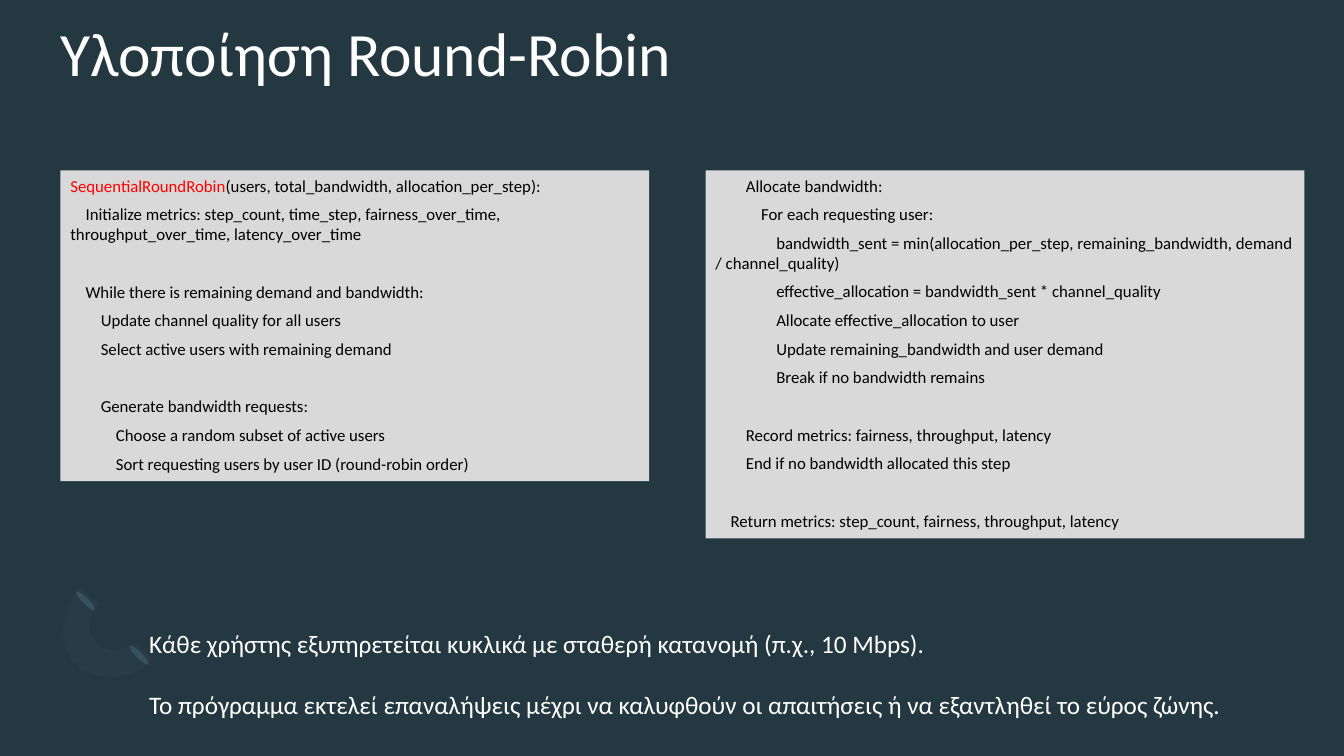
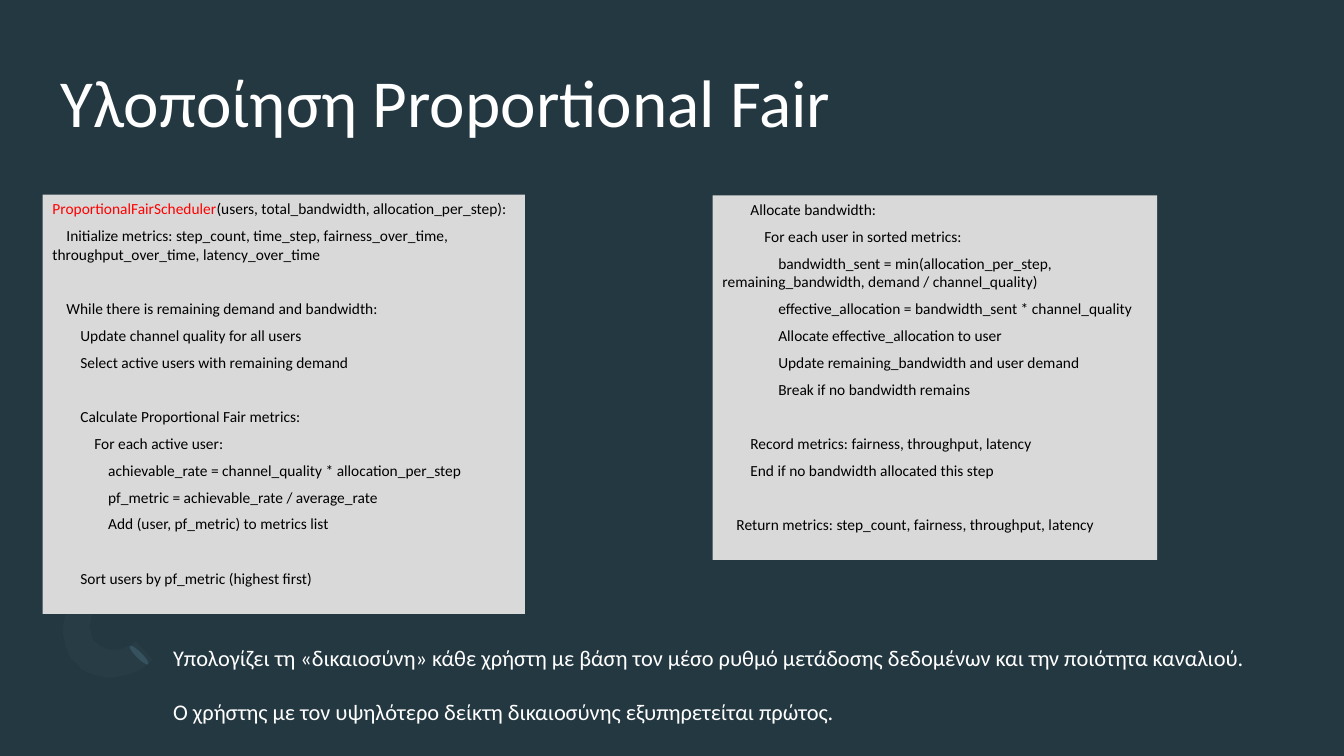
import pptx
import pptx.util
import pptx.dml.color
import pptx.enum.shapes
import pptx.enum.text
import pptx.oxml

Pt = pptx.util.Pt
ALIGN = pptx.enum.text.PP_ALIGN
ANCHOR = pptx.enum.text.MSO_ANCHOR
AUTO_SIZE = pptx.enum.text.MSO_AUTO_SIZE
SHAPE = pptx.enum.shapes.MSO_SHAPE

# Content: code is grouped; each line is (indent level, text)
SETUP_LINE = (1, "Initialize metrics: step_count, time_step, fairness_over_time, "
                 "throughput_over_time, latency_over_time")
LOOP = [
    (1, "While there is remaining demand and bandwidth:"),
    (2, "Update channel quality for all users"),
    (2, "Select active users with remaining demand"),
]
ALLOCATION = [
    (4, "bandwidth_sent = min(allocation_per_step, remaining_bandwidth, demand / channel_quality)"),
    (4, "effective_allocation = bandwidth_sent * channel_quality"),
    (4, "Allocate effective_allocation to user"),
    (4, "Update remaining_bandwidth and user demand"),
    (4, "Break if no bandwidth remains"),
]
CLOSING = [
    [(2, "Record metrics: fairness, throughput, latency"),
     (2, "End if no bandwidth allocated this step")],
    [(1, "Return metrics: step_count, fairness, throughput, latency")],
]
ARGUMENTS = "(users, total_bandwidth, allocation_per_step):"

ALGORITHMS = [
    {
        "title": "Υλοποίηση Round-Robin", "title_top": 10.8, "title_size": 44,
        "function": "SequentialRoundRobin", "code_size": 12,
        "selection": [
            (2, "Generate bandwidth requests:"),
            (3, "Choose a random subset of active users"),
            (3, "Sort requesting users by user ID (round-robin order)"),
        ],
        "after_selection": [],
        "allocation_loop": "For each requesting user:",
        "panels": [(43.2, 121.7, 420.5, 222), (504, 121.7, 427.7, 263)],
        "notes": [
            "Κάθε χρήστης εξυπηρετείται κυκλικά με σταθερή κατανομή (π.χ., 10 Mbps).",
            "Το πρόγραμμα εκτελεί επαναλήψεις μέχρι να καλυφθούν οι απαιτήσεις "
            "ή να εξαντληθεί το εύρος ζώνης.",
        ],
        "notes_box": (99.4, 445, 809.3, 72.7), "notes_size": 18,
    },
    {
        "title": "Υλοποίηση Proportional Fair", "title_top": 43.2, "title_size": 48,
        "function": "ProportionalFairScheduler", "code_size": 11,
        "selection": [
            (2, "Calculate Proportional Fair metrics:"),
            (3, "For each active user:"),
            (4, "achievable_rate = channel_quality * allocation_per_step"),
            (4, "pf_metric = achievable_rate / average_rate"),
            (4, "Add (user, pf_metric) to metrics list"),
        ],
        "after_selection": [[(2, "Sort users by pf_metric (highest first)")]],
        "allocation_loop": "For each user in sorted metrics:",
        "panels": [(30.4, 139, 344.6, 299.5), (509, 139.5, 317.5, 260.5)],
        "notes": [
            "Υπολογίζει τη «δικαιοσύνη» κάθε χρήστη με βάση τον μέσο ρυθμό "
            "μετάδοσης δεδομένων και την ποιότητα καναλιού.",
            "Ο χρήστης με τον υψηλότερο δείκτη δικαιοσύνης εξυπηρετείται πρώτος.",
        ],
        "notes_box": (116.6, 456.5, 808.6, 65.5), "notes_size": 16,
    },
]

# Shared style
COLORS = {"background": "243841", "panel": "D9D9D9", "code": "000000",
          "function": "FF0000", "light": "FFFFFF", "petal": "334F5B", "arc": "7BA4B6"}
FONT = "Calibri"
LINE_HEIGHT = 1.22      # line height per point of text size
INDENT = 0.905          # one code level per point of text size
LINE_GAP = 6
TITLE_FRAME = {"margin_left": 0, "margin_top": 0, "margin_right": 0, "margin_bottom": 0,
               "vertical_anchor": ANCHOR.TOP, "word_wrap": True, "auto_size": AUTO_SIZE.NONE}
TEXT_FRAME = {"margin_left": Pt(7.2), "margin_top": Pt(3.6), "margin_right": Pt(7.2),
              "margin_bottom": Pt(3.6), "vertical_anchor": ANCHOR.TOP,
              "word_wrap": True, "auto_size": AUTO_SIZE.NONE}

# Corner ornament: two petals and a faint arc made of cubic curves
PETALS = [(97.2, 458.6), (59, 419.8)]
PETAL_SIZE = (4.3, 18.7)
ARC_CURVES = [
    [(54.7, 474.5), (40.3, 460.1), (41.8, 435.6), (58.3, 419)],
    [(71.3, 432), (62.6, 439.9), (61.9, 452.9), (69.1, 459.4)],
    [(69.1, 459.4), (76.3, 466.6), (88.6, 465.8), (97.2, 457.9)],
    [(109.4, 470.9), (93.6, 486.7), (68.4, 488.9), (54.7, 474.5)],
]
ARC_ALPHA = 4000        # thousandths of a percent
CURVE_STEPS = 12


def rgb(name):
    return pptx.dml.color.RGBColor.from_string(COLORS[name])


def apply(target, values):
    for attribute, value in values.items():
        setattr(target, attribute, value)


def paint(shape, color):
    shape.shadow.inherit = False
    shape.fill.solid()
    shape.fill.fore_color.rgb = rgb(color)
    shape.line.fill.background()


def add_run(paragraph, text, size, color):
    run = paragraph.add_run()
    run.text = text
    apply(run.font, {"name": FONT, "size": Pt(size)})
    run.font.color.rgb = rgb(color)


def next_paragraph(frame, index, space_before):
    paragraph = frame.add_paragraph() if index else frame.paragraphs[0]
    apply(paragraph, {"alignment": ALIGN.LEFT,
                      "space_before": Pt(space_before if index else 0)})
    return paragraph


def curve_points(curve):
    for step in range(CURVE_STEPS + 1):
        t = step / CURVE_STEPS
        weights = ((1 - t) ** 3, 3 * t * (1 - t) ** 2, 3 * t * t * (1 - t), t ** 3)
        yield tuple(sum(w * p[axis] for w, p in zip(weights, curve)) for axis in (0, 1))


def add_ornament(slide):
    for left, top in PETALS:
        petal = slide.shapes.add_shape(SHAPE.OVAL, Pt(left), Pt(top), *map(Pt, PETAL_SIZE))
        petal.rotation = 135
        paint(petal, "petal")
    outline = [point for curve in ARC_CURVES for point in curve_points(curve)]
    builder = slide.shapes.build_freeform(*outline[0], scale=Pt(1))
    builder.add_line_segments(outline[1:], close=True)
    arc = builder.convert_to_shape()
    paint(arc, "arc")
    arc_color = arc.fill._xPr.solidFill.srgbClr
    alpha = pptx.oxml.parse_xml(
        '<a:alpha xmlns:a="http://schemas.openxmlformats.org/drawingml/2006/main" '
        f'val="{ARC_ALPHA}"/>')
    arc_color.append(alpha)


def add_title(slide, text, top, size):
    title = slide.shapes.title
    apply(title, {"left": Pt(43.2), "top": Pt(top), "width": Pt(873.4), "height": Pt(105)})
    apply(title.text_frame, TITLE_FRAME)
    add_run(next_paragraph(title.text_frame, 0, 0), text, size, "light")


def add_code(slide, box, groups, size, function=None):
    panel = slide.shapes.add_shape(SHAPE.RECTANGLE, *map(Pt, box))
    paint(panel, "panel")
    apply(panel.text_frame, TEXT_FRAME)
    group_gap = 2 * LINE_GAP + LINE_HEIGHT * size
    lines = [(level, text, LINE_GAP if position else group_gap)
             for group in groups for position, (level, text) in enumerate(group)]
    for index, (level, text, gap) in enumerate(lines):
        paragraph = next_paragraph(panel.text_frame, index, gap)
        # First-line indent only, so wrapped lines return to the margin
        paragraph._p.get_or_add_pPr().set("indent", str(int(Pt(level * INDENT * size))))
        if function and index == 0:
            add_run(paragraph, function, size, "function")
        add_run(paragraph, text, size, "code")


def add_notes_text(slide, box, notes, size):
    frame = slide.shapes.add_textbox(*map(Pt, box)).text_frame
    apply(frame, TEXT_FRAME)
    for index, note in enumerate(notes):
        add_run(next_paragraph(frame, index, LINE_HEIGHT * size), note, size, "light")


def add_algorithm(prs, item):
    slide = prs.slides.add_slide(prs.slide_layouts[5])
    add_ornament(slide)
    add_title(slide, item["title"], item["title_top"], item["title_size"])
    selecting = [[(0, ARGUMENTS), SETUP_LINE], LOOP, item["selection"],
                 *item["after_selection"]]
    allocating = [[(2, "Allocate bandwidth:"), (3, item["allocation_loop"]), *ALLOCATION],
                  *CLOSING]
    left_panel, right_panel = item["panels"]
    add_code(slide, left_panel, selecting, item["code_size"], item["function"])
    add_notes_text(slide, item["notes_box"], item["notes"], item["notes_size"])
    add_code(slide, right_panel, allocating, item["code_size"])


def main():
    prs = pptx.Presentation()
    apply(prs, {"slide_width": Pt(960), "slide_height": Pt(540)})
    background = prs.slide_master.background.fill
    background.solid()
    background.fore_color.rgb = rgb("background")
    for item in ALGORITHMS:
        add_algorithm(prs, item)
    prs.save("out.pptx")


if __name__ == "__main__":
    main()
